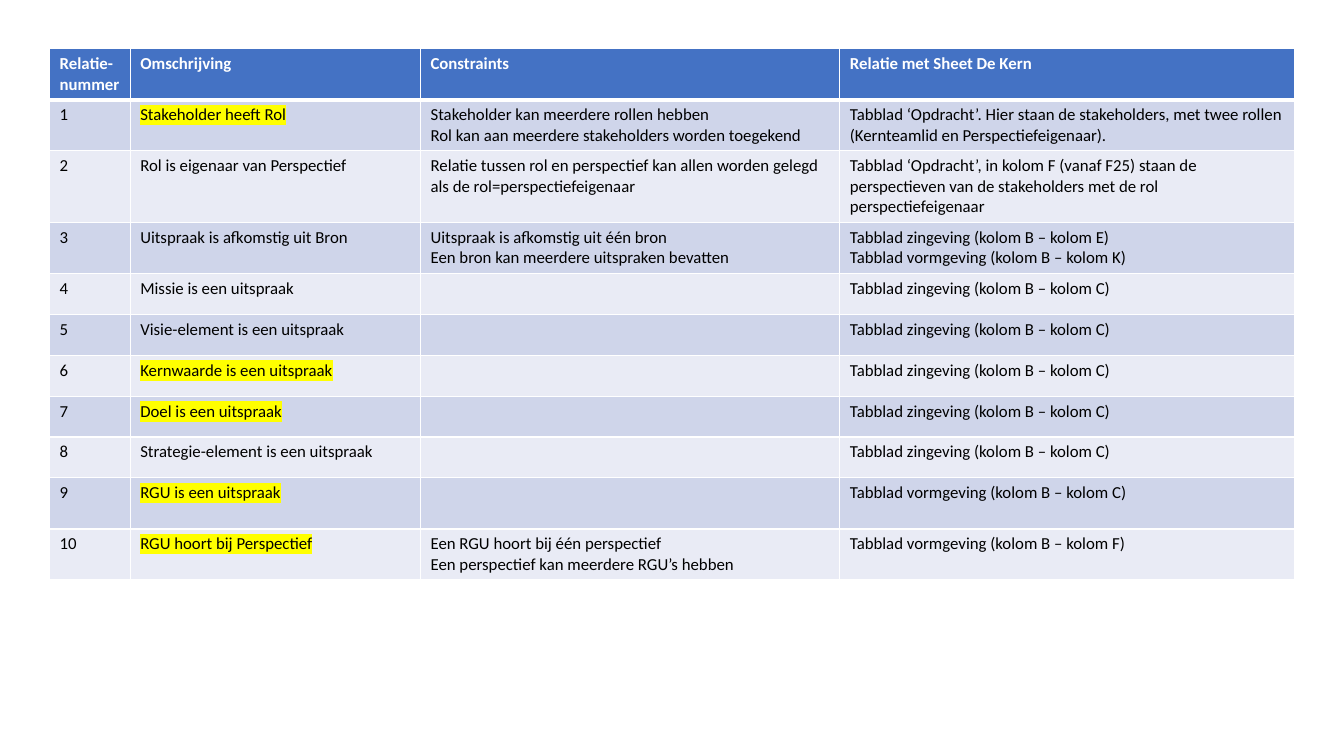
from dataclasses import dataclass

from lxml.etree import SubElement
from pptx import Presentation
from pptx.dml.color import RGBColor
from pptx.oxml.ns import qn
from pptx.table import _Cell
from pptx.util import Pt

FONT = "Calibri"
WHITE, BLACK, YELLOW = "FFFFFF", "000000", "FFFF00"
HEADER_FILL = "4472C4"
BAND_FILLS = ("E9EBF5", "CFD5EA")
COLUMN_WIDTHS = (57.6, 207.4, 299.5, 324.7)
ROW_HEIGHTS = {1: 29.2, 2: 36.5, 3: 51.2}
HEADINGS = ("Relatie-nummer", "Omschrijving", "Constraints", "Relatie met Sheet De Kern")
ZINGEVING_C = "Tabblad zingeving (kolom B – kolom C)"


@dataclass(frozen=True)
class Relation:
    description: str
    constraints: tuple[str, ...]
    sheet: tuple[str, ...]
    lines: int = 1
    marked: bool = False


RELATIONS = (
    Relation(
        "Stakeholder heeft Rol",
        ("Stakeholder kan meerdere rollen hebben",
         "Rol kan aan meerdere stakeholders worden toegekend"),
        ("Tabblad ‘Opdracht’. Hier staan de stakeholders, met twee rollen "
         "(Kernteamlid en Perspectiefeigenaar).",),
        lines=2, marked=True,
    ),
    Relation(
        "Rol is eigenaar van Perspectief",
        ("Relatie tussen rol en perspectief kan allen worden gelegd "
         "als de rol=perspectiefeigenaar",),
        ("Tabblad ‘Opdracht’, in kolom F (vanaf F25) staan de perspectieven "
         "van de stakeholders met de rol perspectiefeigenaar",),
        lines=3,
    ),
    Relation(
        "Uitspraak is afkomstig uit Bron",
        ("Uitspraak is afkomstig uit één bron",
         "Een bron kan meerdere uitspraken bevatten"),
        ("Tabblad zingeving (kolom B – kolom E)",
         "Tabblad vormgeving (kolom B – kolom K)"),
        lines=2,
    ),
    Relation("Missie is een uitspraak", (), (ZINGEVING_C,)),
    Relation("Visie-element is een uitspraak", (), (ZINGEVING_C,)),
    Relation("Kernwaarde is een uitspraak", (), (ZINGEVING_C,), marked=True),
    Relation("Doel is een uitspraak", (), (ZINGEVING_C,), marked=True),
    Relation("Strategie-element is een uitspraak", (), (ZINGEVING_C,)),
    Relation(
        "RGU is een uitspraak", (), ("Tabblad vormgeving (kolom B – kolom C)",),
        lines=2, marked=True,
    ),
    Relation(
        "RGU hoort bij Perspectief",
        ("Een RGU hoort bij één perspectief",
         "Een perspectief kan meerdere RGU’s hebben"),
        ("Tabblad vormgeving (kolom B – kolom F)",),
        lines=2, marked=True,
    ),
)


def color(value: str) -> RGBColor:
    return RGBColor.from_string(value)


def add_borders(cell: _Cell, top: float, bottom: float) -> None:
    tcPr = cell._tc.get_or_add_tcPr()
    for side, width in (("L", 1), ("R", 1), ("T", top), ("B", bottom)):
        ln = SubElement(tcPr, qn(f"a:ln{side}"), w=str(Pt(width)))
        fill = SubElement(ln, qn("a:solidFill"))
        SubElement(fill, qn("a:srgbClr"), val=WHITE)


def write_cell(cell: _Cell, texts: tuple[str, ...], fill: str, ink: str,
               bold: bool = False, marked: bool = False) -> None:
    cell.fill.solid()
    cell.fill.fore_color.rgb = color(fill)
    tf = cell.text_frame
    for i, text in enumerate(texts):
        p = tf.add_paragraph() if i else tf.paragraphs[0]
        r = p.add_run()
        r.text = text
        r.font.size = Pt(12)
        r.font.bold = bold
        r.font.color.rgb = color(ink)
        if marked:
            highlight = SubElement(r.font._element, qn("a:highlight"))
            SubElement(highlight, qn("a:srgbClr"), val=YELLOW)
        r.font.name = FONT


def main() -> None:
    prs = Presentation()
    prs.slide_width, prs.slide_height = Pt(960), Pt(540)
    s = prs.slides.add_slide(prs.slide_layouts[6])

    heights = [ROW_HEIGHTS[2]] + [ROW_HEIGHTS[rel.lines] for rel in RELATIONS]
    table = s.shapes.add_table(
        len(heights), len(COLUMN_WIDTHS), Pt(35.4), Pt(34.7),
        Pt(sum(COLUMN_WIDTHS)), Pt(sum(heights)),
    ).table
    table.horz_banding = False
    for column, width in zip(table.columns, COLUMN_WIDTHS):
        column.width = Pt(width)
    for i, height in enumerate(heights):
        table.rows[i].height = Pt(height)
        for cell in table.rows[i].cells:
            add_borders(cell, top=3 if i == 1 else 1, bottom=3 if i == 0 else 1)

    for cell, heading in zip(table.rows[0].cells, HEADINGS):
        write_cell(cell, (heading,), HEADER_FILL, WHITE, bold=True)
    for number, rel in enumerate(RELATIONS, start=1):
        columns = ((str(number),), (rel.description,), rel.constraints, rel.sheet)
        for j, texts in enumerate(columns):
            write_cell(table.cell(number, j), texts, BAND_FILLS[number % 2], BLACK,
                       marked=rel.marked and j == 1)

    prs.save("out.pptx")


if __name__ == "__main__":
    main()
